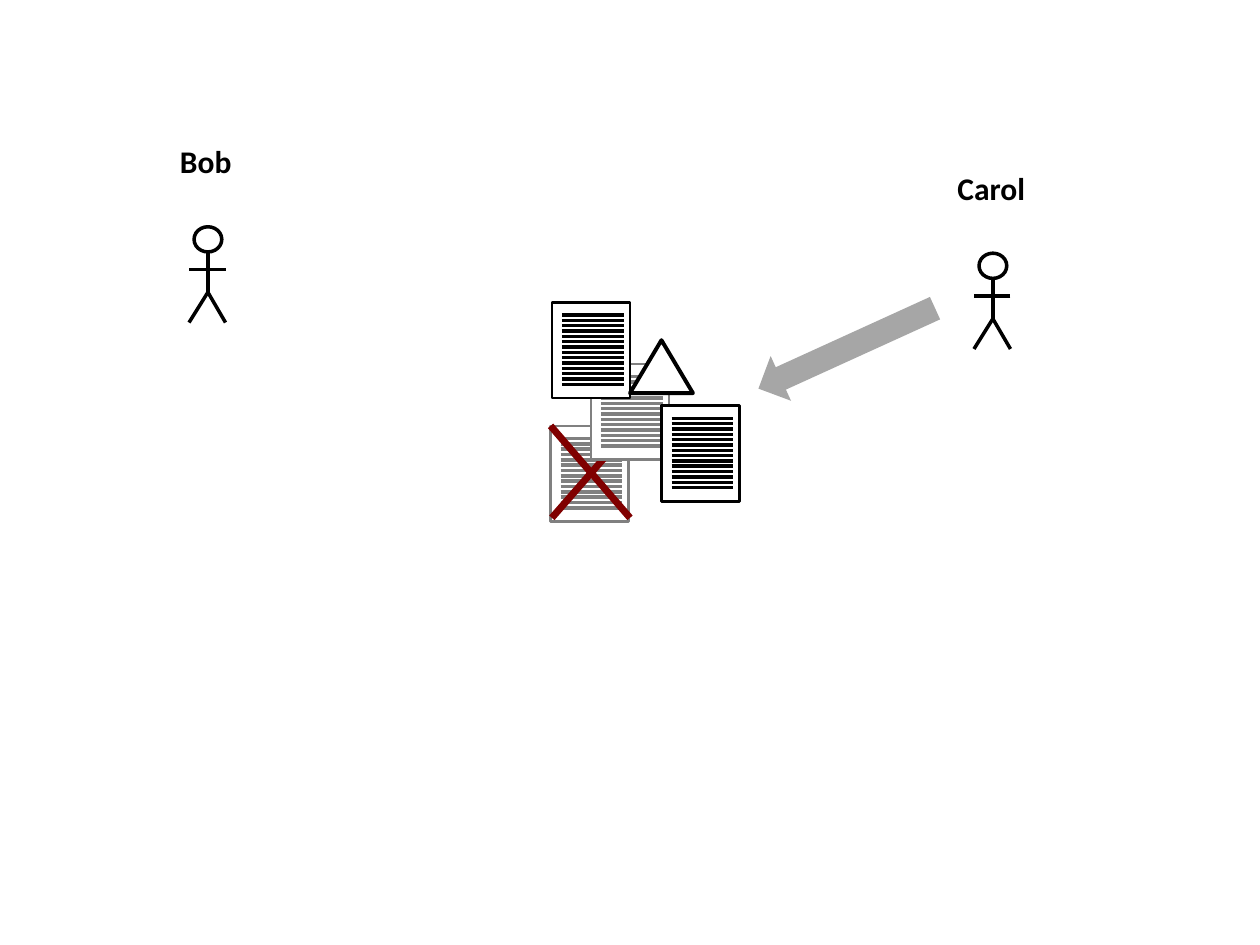
"""Build a slide where Bob and Carol share a pile of documents."""
from pptx import Presentation
from pptx.dml.color import RGBColor
from pptx.enum.shapes import MSO_CONNECTOR, MSO_SHAPE
from pptx.enum.text import MSO_AUTO_SIZE
from pptx.oxml.ns import qn
from pptx.util import Inches, Pt
from lxml.etree import SubElement

BLACK, GRAY, WHITE, RED, SILVER = "000000", "808080", "FFFFFF", "800000", "A6A6A6"


def add_line(shapes, x1, y1, x2, y2, color, weight=2):
    line = shapes.add_connector(
        MSO_CONNECTOR.STRAIGHT, Inches(x1), Inches(y1), Inches(x2), Inches(y2))
    line.line.color.rgb = RGBColor.from_string(color)
    line.line.width = Pt(weight)
    SubElement(line._element.spPr, qn("a:effectLst"))


def add_shape(shapes, kind, left, top, width, height, fill=None, outline=None, weight=2):
    shape = shapes.add_shape(kind, Inches(left), Inches(top), Inches(width), Inches(height))
    shape.shadow.inherit = False
    if fill:
        shape.fill.solid()
        shape.fill.fore_color.rgb = RGBColor.from_string(fill)
    else:
        shape.fill.background()
    if outline:
        shape.line.color.rgb = RGBColor.from_string(outline)
        shape.line.width = Pt(weight)
    else:
        shape.line.fill.background()
    return shape


deck = Presentation()
deck.slide_width, deck.slide_height = Inches(10), Inches(7.5)
page = deck.slides.add_slide(deck.slide_layouts[6])

documents = [
    (4.37, 3.38, GRAY, True),
    (4.69, 2.89, GRAY, False),
    (5.25, 3.22, BLACK, False),
    (4.38, 2.4, BLACK, False),
]
for left, top, color, crossed in documents:
    group = page.shapes.add_group_shape().shapes
    add_shape(group, MSO_SHAPE.RECTANGLE, left, top, 0.62, 0.76, WHITE, color, 1.5)
    for row in range(14):
        y = top + 0.1 + row * 0.55 / 13
        add_line(group, left + 0.08, y, left + 0.57, y, color)
    if crossed:
        add_line(group, left + 0.63, top + 0.02, left + 0.01, top + 0.73, RED, 4)
        add_line(group, left, top, left + 0.63, top + 0.73, RED, 4)

people = [
    ("Bob", 1.65, 1.8, 1.33, 1.08, 0.61),
    ("Carol", 7.88, 2.01, 7.5, 1.29, 0.74),
]
for name, center, top, name_left, name_top, name_width in people:
    figure = page.shapes.add_group_shape().shapes
    add_shape(figure, MSO_SHAPE.OVAL, center - 0.11, top, 0.22, 0.2, None, BLACK)
    add_line(figure, center, top + 0.2, center, top + 0.52, BLACK)
    for side in (0.14, -0.15):
        add_line(figure, center, top + 0.52, center + side, top + 0.76, BLACK)
    add_line(figure, center + 0.14, top + 0.34, center - 0.15, top + 0.34, BLACK)

    box = page.shapes.add_textbox(
        Inches(name_left), Inches(name_top), Inches(name_width), Inches(0.4))
    box.text_frame.word_wrap = False
    box.text_frame.auto_size = MSO_AUTO_SIZE.SHAPE_TO_FIT_TEXT
    span = box.text_frame.paragraphs[0].add_run()
    span.text = name
    span.font.name = "Calibri"
    span.font.size = Pt(18)
    span.font.bold = True
    span.font.color.rgb = RGBColor.from_string(BLACK)

arrow = add_shape(page.shapes, MSO_SHAPE.RIGHT_ARROW, 5.95, 2.57, 1.54, 0.39, SILVER)
arrow.rotation = 155.5
add_shape(page.shapes, MSO_SHAPE.ISOSCELES_TRIANGLE, 5, 2.7, 0.5, 0.42, WHITE, BLACK, 2.25)

deck.save("out.pptx")
